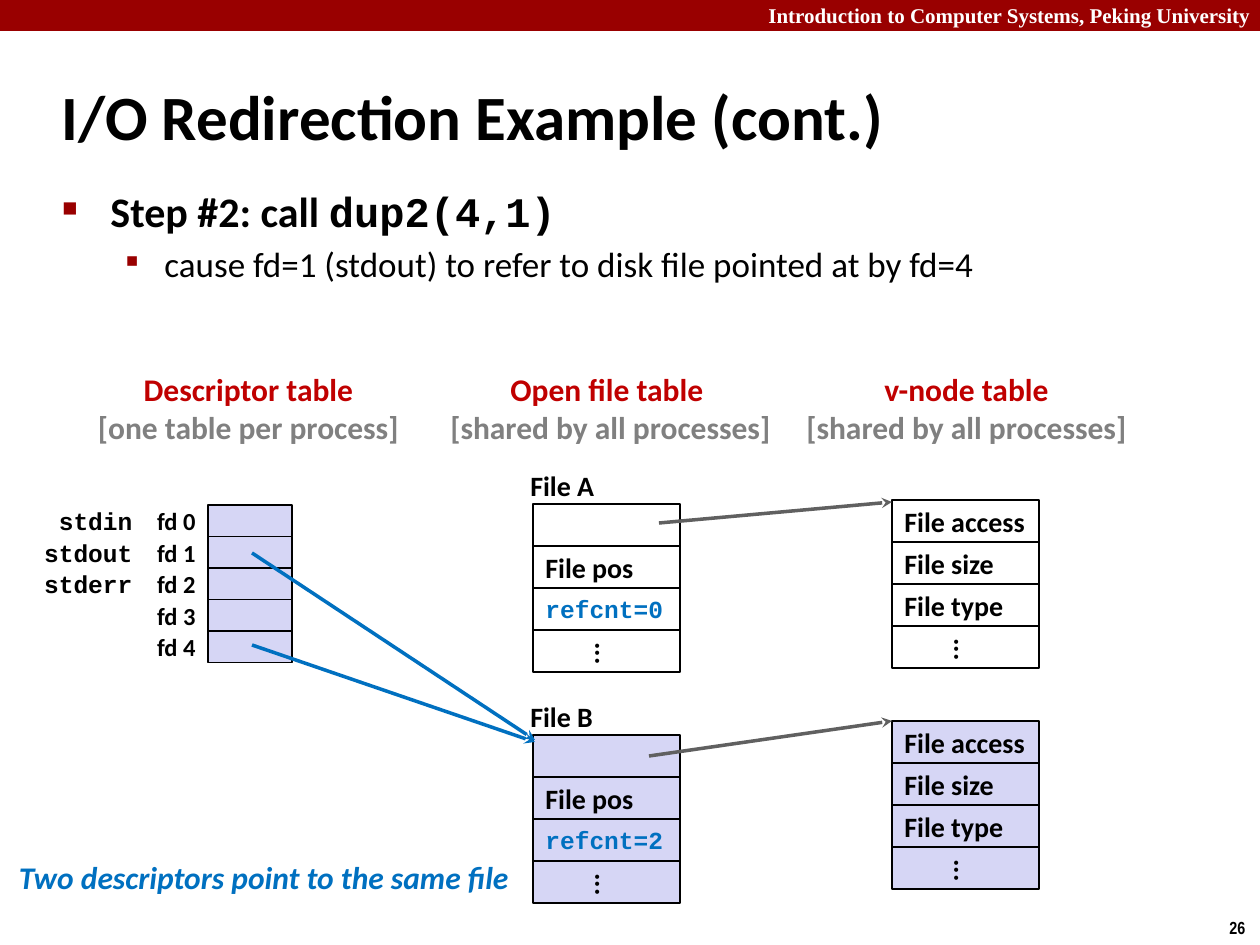
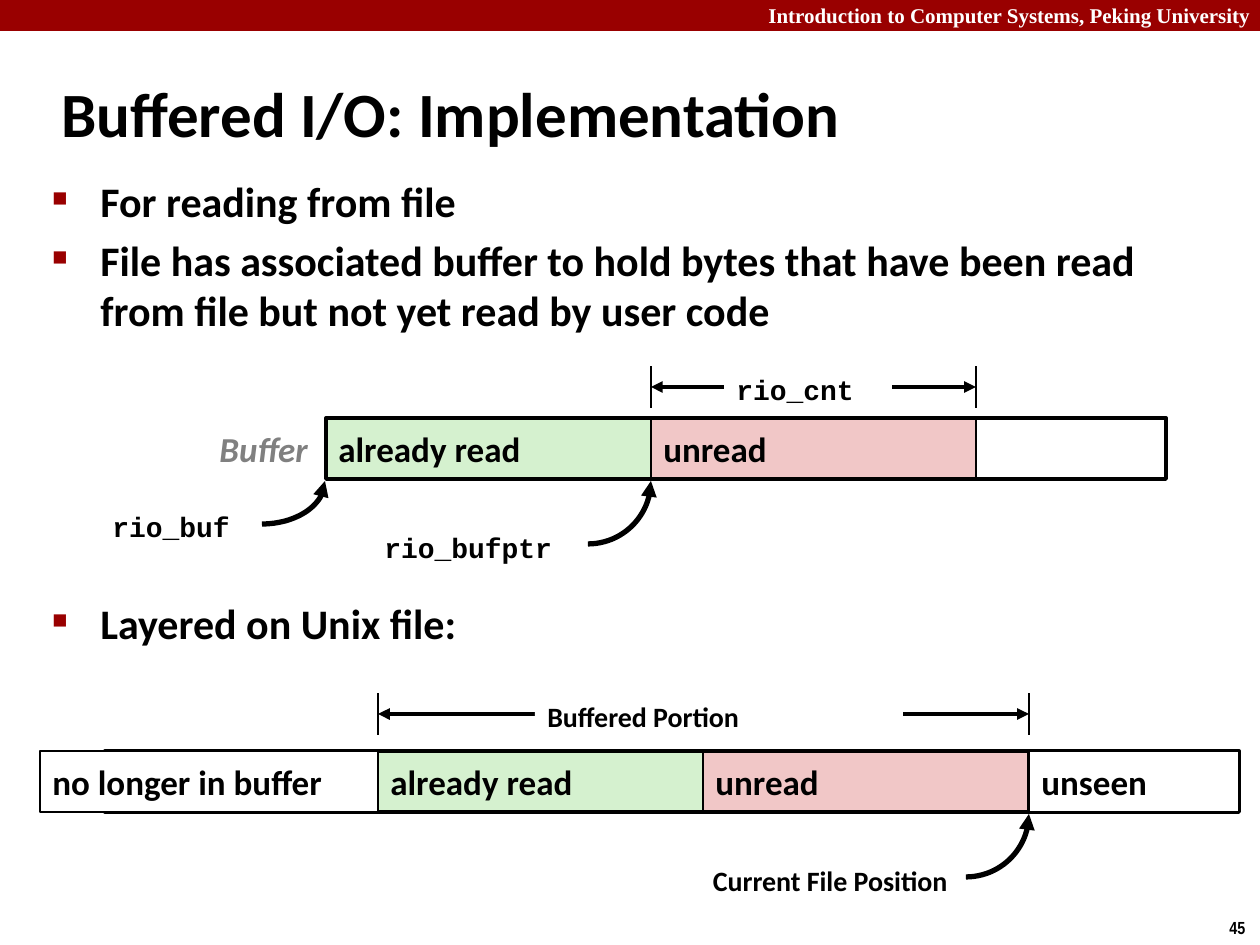
import math

import pptx
import pptx.dml.color
import pptx.enum.shapes
import pptx.enum.text
import pptx.oxml
import pptx.oxml.ns
import pptx.util

PX = 914400 / 126
BLACK, WHITE, GRAY, DARK_GRAY = "000000", "FFFFFF", "808080", "606060"
BAND_RED, HEADING_RED, BLUE = "990000", "C00000", "0070C0"
LAVENDER, GREEN, PINK = "D6D6F5", "D5F1CF", "F1C7C7"
CODE = "Courier New"
ROW_HEIGHT, RECORD_WIDTH = 42, 147
SEGMENT_WIDTH, SEGMENT_HEIGHT = 325, 61

ALIGN = pptx.enum.text.PP_ALIGN
ANCHOR = pptx.enum.text.MSO_ANCHOR
SHAPE = pptx.enum.shapes.MSO_SHAPE
STRAIGHT = pptx.enum.shapes.MSO_CONNECTOR.STRAIGHT


def emu(*lengths):
    """Turn px lengths into EMU."""
    return [round(length * PX) for length in lengths]


def rgb(value):
    """Turn a hex string into a colour."""
    return pptx.dml.color.RGBColor.from_string(value)


def add_element(parent, tag, **attributes):
    """Append a drawing element with the given attributes."""
    element = pptx.oxml.parse_xml(f"<a:{tag} {pptx.oxml.ns.nsdecls('a')}/>")
    for name, value in attributes.items():
        element.set(name, str(value))
    parent.append(element)
    return element


def add_run(paragraph, text, size=16, font="Calibri", color=BLACK, bold=True, italic=False):
    """Add formatted text to a paragraph."""
    run = paragraph.add_run()
    run.text = text
    run.font.size = pptx.util.Pt(size)
    run.font.name = font
    run.font.bold = bold
    run.font.italic = italic
    run.font.color.rgb = rgb(color)


def set_frame(shape, align=ALIGN.LEFT, anchor=ANCHOR.MIDDLE, wrap=False):
    """Prepare a shape's text frame and return its first paragraph."""
    frame = shape.text_frame
    frame.word_wrap = wrap
    frame.vertical_anchor = anchor
    paragraph = frame.paragraphs[0]
    paragraph.alignment = align
    return paragraph


def add_label(slide, box, text, align=ALIGN.LEFT, anchor=ANCHOR.MIDDLE, wrap=False, **style):
    """Add a one-paragraph text box."""
    shape = slide.shapes.add_textbox(*emu(*box))
    add_run(set_frame(shape, align, anchor, wrap), text, **style)
    return shape


def add_rectangle(slide, box, fill=None, line=None, text="", anchor=ANCHOR.MIDDLE, **style):
    """Add a rectangle with optional fill, outline width and text."""
    shape = slide.shapes.add_shape(SHAPE.RECTANGLE, *emu(*box))
    shape.shadow.inherit = False
    if fill:
        shape.fill.solid()
        shape.fill.fore_color.rgb = rgb(fill)
    else:
        shape.fill.background()
    set_line(shape, BLACK, line)
    if text:
        add_run(set_frame(shape, anchor=anchor), text, **style)
    return shape


def set_line(shape, color, width, head=None, tail=None):
    """Set a line's colour, width and arrowheads."""
    if not width:
        shape.line.fill.background()
        return
    shape.line.color.rgb = rgb(color)
    shape.line.width = pptx.util.Pt(width)
    outline = shape.element.spPr.find(pptx.oxml.ns.qn("a:ln"))
    for tag, kind in (("headEnd", head), ("tailEnd", tail)):
        if kind:
            add_element(outline, tag, type=kind)


def add_line(slide, start, end, color=BLACK, width=1.5, **arrowheads):
    """Add a straight line, with arrowheads if named."""
    connector = slide.shapes.add_connector(STRAIGHT, *emu(*start, *end))
    set_line(connector, color, width, **arrowheads)
    add_element(connector.element.spPr, "effectLst")


def add_curved_arrow(slide, tip, width, height):
    """Add a quarter-ellipse arrow that rises to its tip."""
    right, top = tip
    center = right - width
    points = [
        (center + width * math.cos(angle), top + height * math.sin(angle))
        for angle in (step * math.pi / 48 for step in range(25))
    ]
    builder = slide.shapes.build_freeform(*emu(*points[0]))
    builder.add_line_segments([emu(*point) for point in points[1:]], close=False)
    shape = builder.convert_to_shape()
    shape.shadow.inherit = False
    shape.fill.background()
    set_line(shape, BLACK, 3, head="triangle")


def add_bullet(paragraph, level=0, space_before=None):
    """Give a paragraph the bullet and indent of its level."""
    margin, indent, symbol, percent = ((48, -48, "■", 60), (102, -39, "▪", 110))[level]
    paragraph.level = level
    if space_before:
        paragraph.space_before = pptx.util.Pt(space_before)
    properties = paragraph._p.get_or_add_pPr()
    for name, length in (("marL", margin), ("indent", indent)):
        properties.set(name, str(emu(length)[0]))
    add_element(add_element(properties, "buClr"), "srgbClr", val=BAND_RED)
    add_element(properties, "buSzPct", val=percent * 1000)
    add_element(properties, "buFont", typeface="Arial Narrow")
    add_element(properties, "buChar", char=symbol)


def add_body(slide, box, bullets):
    """Add bullets given as (level, space before, runs)."""
    shape = slide.shapes.add_textbox(*emu(*box))
    paragraph = set_frame(shape, anchor=ANCHOR.TOP, wrap=True)
    for index, (level, space_before, runs) in enumerate(bullets):
        if index:
            paragraph = shape.text_frame.add_paragraph()
        add_bullet(paragraph, level, space_before)
        for text, font in runs:
            add_run(paragraph, text, size=(24, 20)[level], font=font, bold=level == 0)


def add_slide(presentation, title, title_top, number):
    """Add a slide with the band, course name, title and number."""
    slide = presentation.slides.add_slide(presentation.slide_layouts[6])
    add_rectangle(slide, (0, 0, 1260, 31), BAND_RED)
    add_label(slide, (756, -4, 513, 38), "Introduction to Computer Systems, Peking University",
              anchor=ANCHOR.TOP, wrap=True, size=12, font="Times New Roman", color=WHITE)
    add_label(slide, (1217, 911, 43, 34), number, anchor=ANCHOR.TOP, size=10, font="Arial Narrow")
    add_label(slide, (49, title_top, 1046, 105), title, wrap=True, size=36)
    return slide


def add_heading(slide, box, name, scope):
    """Add a table name with its sharing scope beneath."""
    shape = add_label(slide, box, name, align=ALIGN.CENTER, size=18, color=HEADING_RED)
    paragraph = shape.text_frame.add_paragraph()
    paragraph.alignment = ALIGN.CENTER
    add_run(paragraph, scope, size=18, color=GRAY)


def add_descriptor_table(slide, left, top, streams):
    """Add five descriptor cells with numbers and stream names."""
    for index in range(5):
        row_top, height = top + index * 63 / 2, 63 / 2
        add_rectangle(slide, (left, row_top, 84, height), LAVENDER, 1)
        add_label(slide, (left - 84, row_top, 84, height), f"fd {index}", align=ALIGN.RIGHT, size=14)
        if index < len(streams):
            add_label(slide, (left - 203, row_top, 140, height), streams[index],
                      align=ALIGN.RIGHT, size=14, font=CODE)


def add_record(slide, left, top, fill, fields):
    """Stack the fields of a record, closed by a vertical ellipsis."""
    for index, field in enumerate([*fields, "..."]):
        style = dict(size=14, font=CODE, color=BLUE) if field.startswith("refcnt") else {}
        box = (left, top + index * ROW_HEIGHT, RECORD_WIDTH, ROW_HEIGHT)
        shape = add_rectangle(slide, box, fill, 1, field, **style)
        if field == "...":
            shape.element.txBody.bodyPr.set("vert", "eaVert")


def add_open_file(slide, left, top, name, fill, count):
    """Add a named open file record."""
    add_label(slide, (left - 15, top - 42, 89, 46), name)
    add_record(slide, left, top, fill, ["", "File pos", f"refcnt={count}"])


def add_bar(slide, top, frame, filled, plain=()):
    """Add buffer segments: filled ones, the frame, then plain ones."""
    for left, fill, text in filled:
        add_rectangle(slide, (left, top, SEGMENT_WIDTH, SEGMENT_HEIGHT), fill, 1.5, text, size=20)
    left, width = frame
    add_rectangle(slide, (left, top, width, SEGMENT_HEIGHT), line=2.25)
    for left, width, text in plain:
        add_rectangle(slide, (left, top, width, SEGMENT_HEIGHT), WHITE, 1.5, text, size=20)


def add_span(slide, left, right, top, label_left, label_width, text, **style):
    """Add a double arrow between two ticks with a label over it."""
    for tick in (left, right):
        add_line(slide, (tick, top + 42), (tick, top))
    add_line(slide, (left, top + 21), (right, top + 21), width=2.25, head="triangle", tail="triangle")
    add_rectangle(slide, (label_left, top, label_width, 44), WHITE, text=text,
                  anchor=ANCHOR.TOP, **style)


def build_redirection(presentation):
    """Build the slide on redirecting a descriptor."""
    slide = add_slide(presentation, "I/O Redirection Example (cont.)", 63, "26")
    add_body(slide, (50, 179, 1188, 136), [
        (0, None, [("Step #2: call ", "Calibri"), ("dup2(4,1)", CODE)]),
        (1, 4, [("cause fd=1 (stdout) to refer to disk file pointed at by fd=4", "Calibri")]),
    ])
    for left, width, name, scope in (
        (84, 329, "Descriptor table", "[one table per process]"),
        (436, 349, "Open file table ", "[shared by all processes]"),
        (792, 349, "v-node table", "[shared by all processes]"),
    ):
        add_heading(slide, (left, 363, width, 90), name, scope)
    add_descriptor_table(slide, 208, 505, ["stdin", "stdout", "stderr"])
    add_open_file(slide, 533, 504, "File A", WHITE, 0)
    add_open_file(slide, 533, 735, "File B", LAVENDER, 2)
    for top, fill in ((500, WHITE), (721, LAVENDER)):
        add_record(slide, 892, top, fill, ["File access", "File size", "File type"])
    for start, end, color in (
        ((252, 553), (535, 740), BLUE),
        ((252, 645), (535, 742), BLUE),
        ((659, 523), (892, 502), DARK_GRAY),
        ((649, 756), (892, 721), DARK_GRAY),
    ):
        add_line(slide, start, end, color, 2, tail="stealth")
    add_label(slide, (3, 852, 522, 50), "Two descriptors point to the same file",
              align=ALIGN.CENTER, size=18, color=BLUE, italic=True)


def build_buffering(presentation):
    """Build the slide on the buffer behind buffered reading."""
    slide = add_slide(presentation, "Buffered I/O: Implementation", 60, "45")
    add_body(slide, (40, 169, 1145, 546), [
        (0, space_before, [(text, "Calibri")]) for space_before, text in (
            (None, "For reading from file"),
            (4.8, "File has associated buffer to hold bytes that have been read "
                  "from file but not yet read by user code"),
            (150, "Layered on Unix file:"),
        )
    ])
    add_bar(slide, 418, (326, 840), [(651, PINK, "unread"), (326, GREEN, "already read")])
    add_label(slide, (207, 421, 117, 55), "Buffer", anchor=ANCHOR.TOP,
              size=20, color=GRAY, italic=True)
    add_curved_arrow(slide, (325, 481), 63, 43)
    add_curved_arrow(slide, (651, 481), 63, 63)
    for left, top, width, text in ((100, 503, 144, "rio_buf"), (372, 524, 220, "rio_bufptr")):
        add_label(slide, (left, top, width, 43), text, anchor=ANCHOR.TOP, wrap=True, font=CODE)
    add_span(slide, 651, 976, 366, 724, 168, "rio_cnt", font=CODE)
    add_bar(slide, 751, (105, 1134), [(703, PINK, "unread"), (378, GREEN, "already read")],
            [(40, 338, "no longer in buffer"), (1029, 210, "unseen")])
    add_curved_arrow(slide, (1029, 814), 63, 63)
    add_label(slide, (603, 857, 357, 47), "Current File Position",
              align=ALIGN.RIGHT, anchor=ANCHOR.TOP, wrap=True)
    add_span(slide, 378, 1029, 693, 535, 368, "Buffered Portion")


def main():
    """Build and save the presentation."""
    presentation = pptx.Presentation()
    presentation.slide_width, presentation.slide_height = emu(1260, 945)
    build_redirection(presentation)
    build_buffering(presentation)
    presentation.save("out.pptx")


if __name__ == "__main__":
    main()
